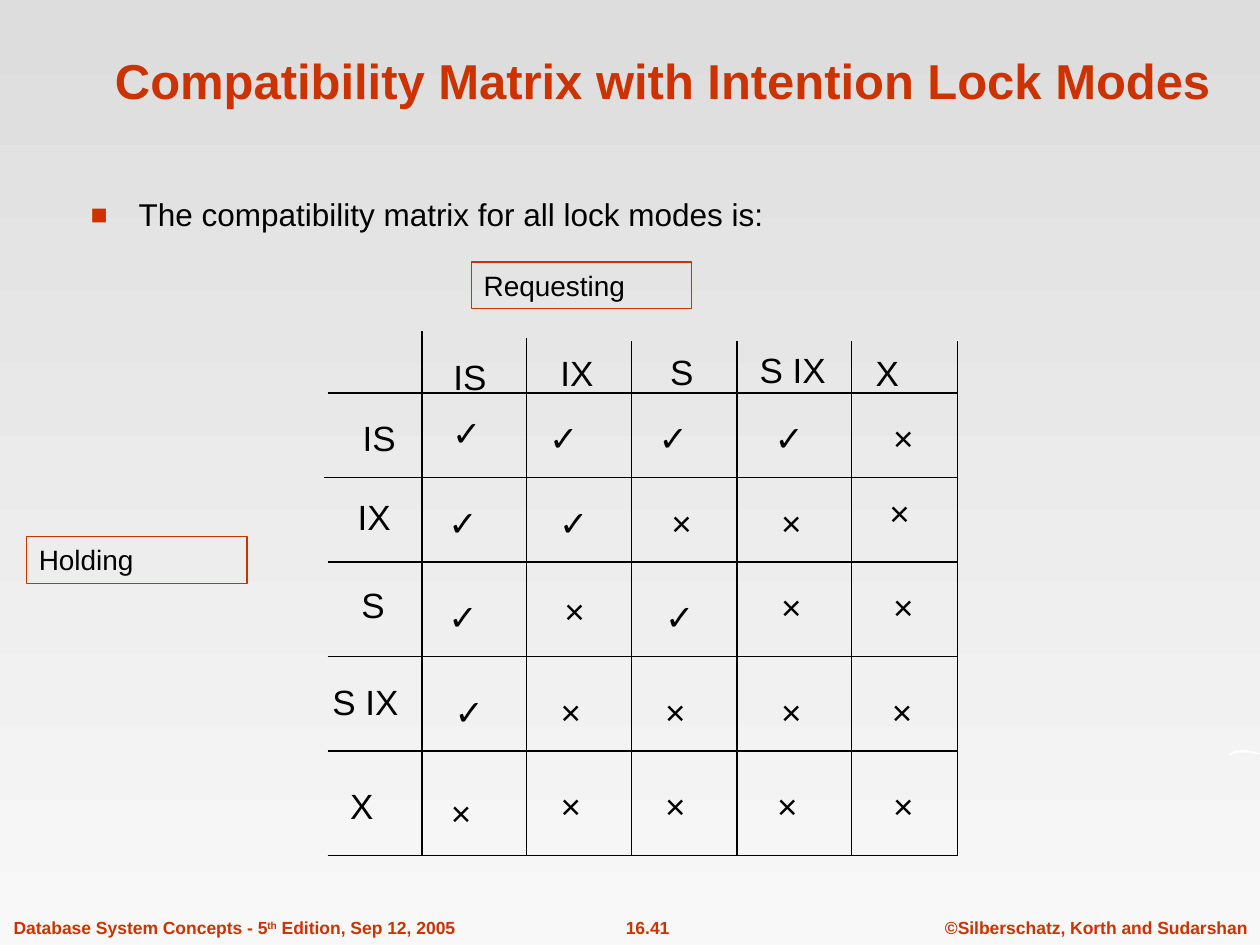
from dataclasses import dataclass

from lxml import etree
from pptx import Presentation
from pptx.dml.color import RGBColor
from pptx.enum import shapes, text
from pptx.oxml import ns
from pptx.util import Inches, Pt


@dataclass(frozen=True)
class Theme:
    """Colours, typeface and type sizes of the slide."""
    accent: RGBColor = RGBColor(0xCC, 0x33, 0x00)
    ink: RGBColor = RGBColor(0, 0, 0)
    swoosh: RGBColor = RGBColor(0xFF, 0xFF, 0xFF)
    sky: tuple = (RGBColor(0xDD, 0xDD, 0xDD), RGBColor(0xF8, 0xF8, 0xF8))
    face: str = "Arial"
    title: int = 28
    body: int = 18
    cell: int = 20
    label: int = 16
    footer: int = 10
    rule: float = 0.75


THEME = Theme()
ALIGN = text.PP_ALIGN

COLUMN_RULES = [(0.75, 0), (1.58, 0.05), (2.41, 0.08), (3.25, 0.08), (4.16, 0.08), (5, 0.08)]
ROW_RULES = [(0.49, 0), (1.16, -0.03), (1.83, 0), (2.58, 0), (3.33, 0), (4.16, 0)]
ENTRY_WIDTHS = {"IS": 0.46, "IX": 0.46, "S": 0.38, "S IX": 0.76, "X": 0.38, "✓": 0.43, "×": 0.42}
ENTRY_HEIGHT = 0.44
MATRIX = [
    [("IS", 0.9, 0.14), ("IX", 1.75, 0.11), ("S", 2.62, 0.1), ("S IX", 3.33, 0.09), ("X", 4.25, 0.11)],
    [("IS", 0.18, 0.63), ("✓", 0.89, 0.59), ("✓", 1.66, 0.63), ("✓", 2.53, 0.63),
     ("✓", 3.45, 0.63), ("×", 4.39, 0.63)],
    [("IX", 0.14, 1.25), ("✓", 0.86, 1.3), ("✓", 1.74, 1.3), ("×", 2.63, 1.3),
     ("×", 3.5, 1.3), ("×", 4.36, 1.22)],
    [("S", 0.17, 1.95), ("✓", 0.86, 2.05), ("×", 1.78, 2), ("✓", 2.58, 2.05),
     ("×", 3.5, 1.97), ("×", 4.39, 1.97)],
    [("S IX", -0.06, 2.72), ("✓", 0.91, 2.8), ("×", 1.75, 2.8), ("×", 2.58, 2.8),
     ("×", 3.5, 2.8), ("×", 4.38, 2.8)],
    [("X", 0.08, 3.55), ("×", 0.88, 3.6), ("×", 1.75, 3.55), ("×", 2.58, 3.55),
     ("×", 3.47, 3.55), ("×", 4.39, 3.55)],
]
SWOOSH = [(0, 1), (0.08, 0.5), (0.2, 0.15), (0.4, 0), (0.6, 0.1), (0.8, 0.3), (1, 0.6),
          (0.96, 0.75), (0.8, 0.6), (0.6, 0.45), (0.4, 0.45), (0.2, 0.55), (0.08, 0.85)]


def place(shape, box):
    """Move a shape to a box of left, top, width and height in inches."""
    shape.left, shape.top, shape.width, shape.height = map(Inches, box)


def style(paragraph, size, color, bold=False, align=ALIGN.LEFT):
    """Set the font and alignment of a whole paragraph."""
    paragraph.alignment = align
    font = paragraph.font
    font.name, font.size, font.bold = THEME.face, Pt(size), bold
    font.color.rgb = color


def add_line_of_text(parent, box, words, size, color, bold=False, align=ALIGN.LEFT):
    """Add an unwrapped text box and return its paragraph."""
    frame = parent.add_textbox(*map(Inches, box)).text_frame
    frame.word_wrap = False
    frame.auto_size = text.MSO_AUTO_SIZE.SHAPE_TO_FIT_TEXT
    paragraph = frame.paragraphs[0]
    paragraph.text = words
    style(paragraph, size, color, bold, align)
    return paragraph


def add_background(slide):
    """Fill the slide with a vertical gradient."""
    fill = slide.background.fill
    fill.gradient()
    fill.gradient_angle = 270
    for stop, color in zip(fill.gradient_stops, THEME.sky):
        stop.color.rgb = color


def add_swoosh(slide, box):
    """Draw the small white stroke at the slide edge."""
    left, top, width, height = box
    points = [(Inches(left + x * width), Inches(top + y * height)) for x, y in SWOOSH]
    builder = slide.shapes.build_freeform(*points[0], scale=1)
    builder.add_line_segments(points[1:], close=True)
    swoosh = builder.convert_to_shape()
    swoosh.shadow.inherit = False
    swoosh.fill.solid()
    swoosh.fill.fore_color.rgb = THEME.swoosh
    swoosh.line.fill.background()


def add_footer(slide, box):
    """Write the book, page and copyright along the bottom."""
    left, top, width, height = box
    parts = [
        ("Database System Concepts - 5", 0, 3.8, ALIGN.LEFT),
        ("16.41", 4.6, 1.06, ALIGN.CENTER),
        ("©Silberschatz, Korth and Sudarshan", width - 2.6, 2.6, ALIGN.CENTER),
    ]
    book, _, _ = [
        add_line_of_text(slide.shapes, (left + x, top, part_width, height), words,
                         THEME.footer, THEME.accent, True, align)
        for words, x, part_width, align in parts
    ]
    ordinal = book.add_run()
    ordinal.text = "th"
    ordinal._r.get_or_add_rPr().set("baseline", "30000")
    book.add_run().text = " Edition, Sep 12, 2005"


def fill_title(slide, box):
    """Place and format the slide title."""
    title = slide.shapes.title
    place(title, box)
    frame = title.text_frame
    frame.text = "Compatibility Matrix with Intention Lock Modes"
    frame.vertical_anchor = text.MSO_ANCHOR.BOTTOM
    frame.auto_size = text.MSO_AUTO_SIZE.NONE
    style(frame.paragraphs[0], THEME.title, THEME.accent, True, ALIGN.CENTER)


def fill_body(slide, box):
    """Place the body list with its square bullet."""
    body = slide.placeholders[1]
    place(body, box)
    frame = body.text_frame
    frame.text = "The compatibility matrix for all lock modes is:"
    frame.auto_size = text.MSO_AUTO_SIZE.NONE
    point = frame.paragraphs[0]
    point.space_before = Pt(0)
    props = point._p.get_or_add_pPr()
    props.set("marL", str(Inches(0.38)))
    props.set("indent", str(Inches(-0.38)))
    bullet_color = etree.SubElement(props, ns.qn("a:buClr"))
    etree.SubElement(bullet_color, ns.qn("a:srgbClr"), val=str(THEME.accent))
    etree.SubElement(props, ns.qn("a:buSzPct"), val="90000")
    etree.SubElement(props, ns.qn("a:buFont"), typeface=THEME.face)
    etree.SubElement(props, ns.qn("a:buChar"), char="■")
    style(point, THEME.body, THEME.ink)


def add_rule(parent, x1, y1, x2, y2):
    """Draw one thin straight line of the matrix."""
    rule = parent.add_connector(shapes.MSO_CONNECTOR.STRAIGHT, *map(Inches, (x1, y1, x2, y2)))
    rule.line.color.rgb = THEME.ink
    rule.line.width = Pt(THEME.rule)
    etree.SubElement(rule._element.spPr, ns.qn("a:effectLst"))


def add_matrix(slide, box):
    """Draw the grouped lock matrix with its rules and entries."""
    left, top, width, height = box
    matrix = slide.shapes.add_group_shape().shapes
    for x, start in COLUMN_RULES:
        add_rule(matrix, left + x, top + start, left + x, top + height)
    for y, start in ROW_RULES:
        add_rule(matrix, left + start, top + y, left + width, top + y)
    for row in MATRIX:
        for entry, x, y in row:
            add_line_of_text(matrix, (left + x, top + y, ENTRY_WIDTHS[entry], ENTRY_HEIGHT),
                             entry, THEME.cell, THEME.ink)


def add_axis_label(slide, box, words):
    """Add an outlined label for one side of the matrix."""
    label = slide.shapes.add_shape(shapes.MSO_SHAPE.RECTANGLE, *map(Inches, box))
    label.shadow.inherit = False
    label.fill.background()
    label.line.color.rgb = THEME.accent
    label.line.width = Pt(THEME.rule)
    frame = label.text_frame
    frame.text = words
    frame.word_wrap = True
    frame.vertical_anchor = text.MSO_ANCHOR.TOP
    style(frame.paragraphs[0], THEME.label, THEME.ink)


def main():
    """Build the slide and save it."""
    deck = Presentation()
    deck.slide_width, deck.slide_height = Inches(10), Inches(7.5)
    slide = deck.slides.add_slide(deck.slide_layouts[1])
    add_background(slide)
    add_footer(slide, (0.01, 7.23, 9.99, 0.27))
    add_swoosh(slide, (9.75, 5.95, 0.25, 0.05))
    fill_title(slide, (0.35, 0.25, 9.82, 0.67))
    fill_body(slide, (0.62, 1.5, 8.58, 4.83))
    add_matrix(slide, (2.6, 2.63, 5, 4.16))
    add_axis_label(slide, (0.21, 4.26, 1.75, 0.37), "Holding")
    add_axis_label(slide, (3.74, 2.08, 1.75, 0.37), "Requesting")
    deck.save("out.pptx")


if __name__ == "__main__":
    main()
